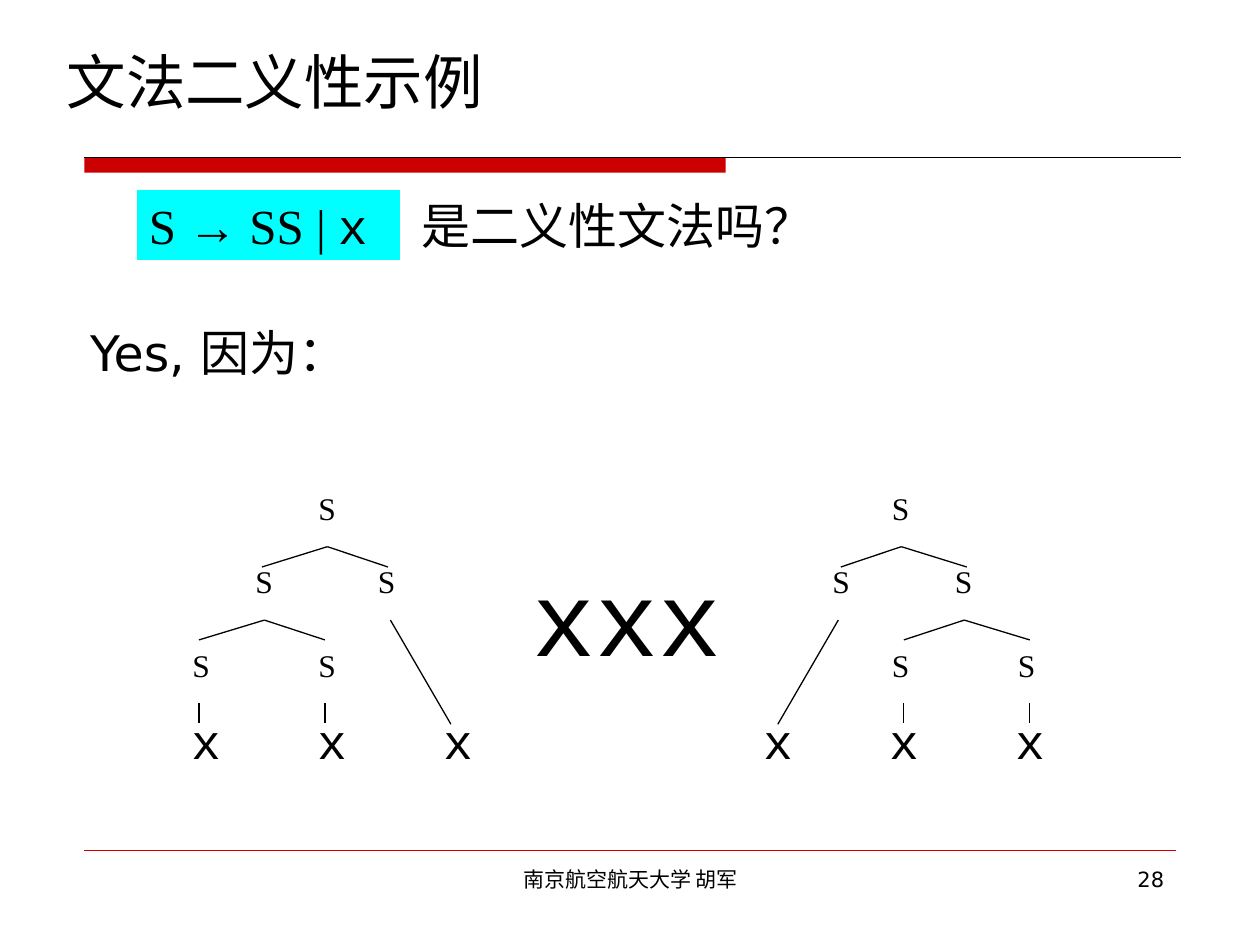
from dataclasses import dataclass

import pptx
import pptx.dml.color
import pptx.enum.shapes
import pptx.enum.text
import pptx.oxml.ns
import pptx.util
from lxml import etree

Cm, Pt = pptx.util.Cm, pptx.util.Pt
RGBColor = pptx.dml.color.RGBColor
Align = pptx.enum.text.PP_ALIGN
Anchor = pptx.enum.text.MSO_ANCHOR

BLACK = RGBColor(0x00, 0x00, 0x00)
WHITE = RGBColor(0xFF, 0xFF, 0xFF)
RED = RGBColor(0xCC, 0x00, 0x00)
CYAN = RGBColor(0x00, 0xFF, 0xFF)
SANS, SERIF, MONO, ARROW = "DejaVu Sans", "Times New Roman", "Courier New", "Arial"


@dataclass(frozen=True)
class Symbol:
    """Format of a grammar symbol; mirror_sum adds up the lefts of a mirrored pair."""
    text: str
    font: str
    size: float
    width: float
    height: float
    mirror_sum: float


@dataclass(frozen=True)
class Node:
    symbol: Symbol
    left: float
    top: float


@dataclass(frozen=True)
class Branch:
    x1: float
    y1: float
    x2: float
    y2: float


START = Symbol("S", SERIF, 18, 0.84, 1.02, 23.9)
TERMINAL = Symbol("x", MONO, 28, 1.09, 1.45, 23.83)
BRANCH_MIRROR_SUM = 24.77

NODES = [Node(TERMINAL, left, 14.2) for left in (3.61, 6.15, 8.69)] + [
    Node(START, 6.17, 9.73),
    Node(START, 4.9, 11.2),
    Node(START, 7.37, 11.2),
    Node(START, 3.63, 12.9),
    Node(START, 6.17, 12.9),
]
BRANCHES = [
    Branch(6.6, 11.02, 5.28, 11.43),
    Branch(6.6, 11.02, 7.82, 11.43),
    Branch(5.33, 12.5, 4.01, 12.9),
    Branch(5.33, 12.5, 6.55, 12.9),
    Branch(7.87, 12.5, 9.09, 14.6),
    Branch(4.01, 14.17, 4.01, 14.58),
    Branch(6.55, 14.17, 6.55, 14.58),
]


def write(frame, *parts: tuple[str, str], size: float, align=Align.LEFT,
          anchor=Anchor.TOP, wrap: bool = True) -> None:
    """Fill a text frame with one paragraph of (text, font) parts."""
    frame.word_wrap = wrap
    frame.auto_size = pptx.enum.text.MSO_AUTO_SIZE.NONE
    frame.vertical_anchor = anchor
    paragraph = frame.paragraphs[0]
    paragraph.alignment = align
    for text, font in parts:
        run = paragraph.add_run()
        run.text = text
        run.font.name = font
        run.font.size = Pt(size)
        run.font.color.rgb = BLACK


def add_text(slide, text: str, left: float, top: float, width: float, height: float,
             font: str = SANS, **text_format) -> None:
    box = slide.shapes.add_textbox(Cm(left), Cm(top), Cm(width), Cm(height))
    write(box.text_frame, (text, font), **text_format)


def add_line(slide, line: Branch, color: RGBColor = BLACK, width: float = 0.75) -> None:
    connector = slide.shapes.add_connector(
        pptx.enum.shapes.MSO_CONNECTOR.STRAIGHT,
        Cm(line.x1), Cm(line.y1), Cm(line.x2), Cm(line.y2))
    connector.line.color.rgb = color
    connector.line.width = Pt(width)
    etree.SubElement(connector._element.spPr, pptx.oxml.ns.qn("a:effectLst"))


def add_block(slide, left: float, top: float, width: float, height: float, fill: RGBColor):
    block = slide.shapes.add_shape(pptx.enum.shapes.MSO_SHAPE.RECTANGLE,
                                   Cm(left), Cm(top), Cm(width), Cm(height))
    block.shadow.inherit = False
    block.fill.solid()
    block.fill.fore_color.rgb = fill
    block.line.fill.background()
    return block


def add_tree(slide, mirrored: bool) -> None:
    for node in NODES:
        symbol = node.symbol
        left = symbol.mirror_sum - node.left if mirrored else node.left
        add_text(slide, symbol.text, left, node.top, symbol.width, symbol.height,
                 font=symbol.font, size=symbol.size)
    for branch in BRANCHES:
        if mirrored:
            branch = Branch(BRANCH_MIRROR_SUM - branch.x1, branch.y1,
                            BRANCH_MIRROR_SUM - branch.x2, branch.y2)
        add_line(slide, branch)


def main() -> None:
    deck = pptx.Presentation()
    deck.slide_width, deck.slide_height = Cm(25.4), Cm(19.05)
    slide = deck.slides.add_slide(deck.slide_layouts[5])

    add_block(slide, 1.7, 3.17, 12.93, 0.31, RED)
    add_line(slide, Branch(1.7, 3.17, 23.8, 3.17))
    add_line(slide, Branch(1.7, 17.14, 23.7, 17.14), RED, 0.25)

    title = slide.shapes.title
    title.left, title.top, title.width, title.height = Cm(1.09), Cm(0.71), Cm(23.22), Cm(1.83)
    write(title.text_frame, ("文法二义性示例", SANS), size=34, anchor=Anchor.MIDDLE)

    grammar = add_block(slide, 2.75, 3.81, 5.33, 1.45, CYAN)
    grammar.line.color.rgb = WHITE
    grammar.line.width = Pt(0.75)
    write(grammar.text_frame, ("S ", SERIF), ("→", ARROW), (" SS | ", SERIF), ("x", MONO),
          size=28)
    add_text(slide, "是二义性文法吗？", 8.25, 3.81, 8.38, 1.45, size=28, wrap=False)

    add_tree(slide, mirrored=False)
    add_tree(slide, mirrored=True)
    add_text(slide, "xxx", 10.49, 11, 4.32, 2.79, font=MONO, size=60, wrap=False)
    add_text(slide, "Yes, 因为：", 1.57, 6.38, 5.72, 1.45, size=28)

    add_text(slide, "南京航空航天大学 胡军", 8.69, 17.35, 8.05, 1.32, size=12, align=Align.CENTER)
    add_text(slide, "28", 18.21, 17.35, 5.51, 1.32, size=12, align=Align.RIGHT)

    deck.save("out.pptx")


if __name__ == "__main__":
    main()
